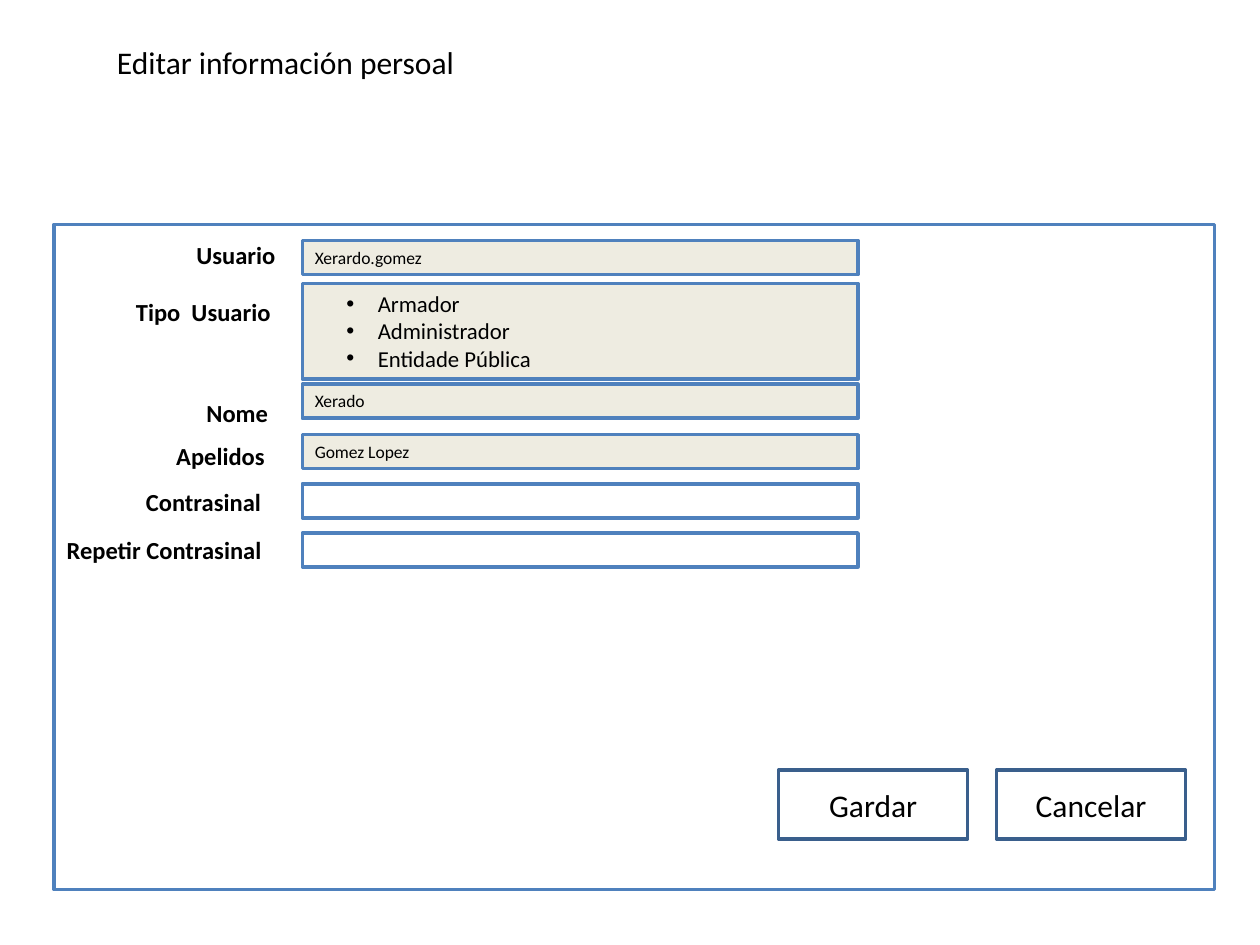
from pptx import Presentation
from pptx.dml.color import RGBColor
from pptx.enum.shapes import MSO_SHAPE
from pptx.enum.text import MSO_ANCHOR, MSO_AUTO_SIZE, PP_ALIGN
from pptx.oxml.ns import qn
from pptx.util import Inches, Pt
from lxml.etree import SubElement

WHITE, BEIGE, BLACK = "FFFFFF", "EEECE1", "000000"
BLUE, DARK_BLUE = "4F81BD", "3A5F8C"
FIELD_LEFT, FIELD_WIDTH, FIELD_HEIGHT = 2.4, 4.41, 0.27
LABEL_HEIGHT = 0.34

# caption, left, top, width
LABELS = [
    ("Usuario", 1.46, 1.86, 2.52),
    ("Tipo  Usuario", 0.98, 2.31, 2.52),
    ("Nome", 1.54, 3.11, 0.87),
    ("Apelidos", 1.3, 3.45, 0.94),
    ("Contrasinal", 1.06, 3.82, 1.26),
]
# value, top
FILLED_FIELDS = [("Xerardo.gomez", 1.91), ("Xerado", 3.05), ("Gomez Lopez", 3.45)]
PASSWORD_TOPS = [3.84, 4.23]
USER_TYPES = ["Armador", "Administrador", "Entidade Pública"]


def color(hex_value):
    return RGBColor.from_string(hex_value)


def write(box, lines, size, bold=None, align=PP_ALIGN.LEFT, anchor=MSO_ANCHOR.TOP, grow=True):
    frame = box.text_frame
    frame.word_wrap = True
    frame.vertical_anchor = anchor
    frame.auto_size = MSO_AUTO_SIZE.SHAPE_TO_FIT_TEXT if grow else MSO_AUTO_SIZE.NONE
    frame.text = "\n".join(lines)
    for paragraph in frame.paragraphs:
        paragraph.alignment = align
        paragraph.font.name = "Calibri"
        paragraph.font.size = Pt(size)
        paragraph.font.bold = bold
        paragraph.font.color.rgb = color(BLACK)


def add_box(slide, left, top, width, height, fill=WHITE, line=BLUE):
    box = slide.shapes.add_shape(
        MSO_SHAPE.RECTANGLE, Inches(left), Inches(top), Inches(width), Inches(height))
    box.shadow.inherit = False
    box.fill.solid()
    box.fill.fore_color.rgb = color(fill)
    box.line.color.rgb = color(line)
    box.line.width = Pt(2)
    return box


def add_text(slide, text, left, top, width, height, size, bold=None):
    caption = slide.shapes.add_textbox(
        Inches(left), Inches(top), Inches(width), Inches(height))
    write(caption, [text], size, bold)


def add_label(slide, text, left, top, width):
    label = add_box(slide, left, top, width, LABEL_HEIGHT, line=WHITE)
    write(label, [text], 14, bold=True)


def add_field(slide, top, height=FIELD_HEIGHT, fill=BEIGE):
    return add_box(slide, FIELD_LEFT, top, FIELD_WIDTH, height, fill)


def add_button(slide, text, left):
    button = add_box(slide, left, 6.11, 1.5, 0.55, line=DARK_BLUE)
    write(button, [text], 18, align=PP_ALIGN.CENTER, anchor=MSO_ANCHOR.MIDDLE, grow=False)


def add_bullets(box):
    for paragraph in box.text_frame.paragraphs:
        paragraph.level = 1
        properties = paragraph._p.get_or_add_pPr()
        properties.set("marL", str(Inches(0.5)))
        properties.set("indent", str(Inches(-0.25)))
        # Bullet elements must come before the default run properties
        font = SubElement(properties, qn("a:buFont"), typeface="Arial")
        bullet = SubElement(properties, qn("a:buChar"), char="•")
        properties.insert(0, font)
        properties.insert(1, bullet)


def main():
    presentation = Presentation()
    presentation.slide_width, presentation.slide_height = Inches(10), Inches(7.5)
    slide = presentation.slides.add_slide(presentation.slide_layouts[6])

    # Title and form panel
    add_text(slide, "Editar información persoal", 0.83, 0.29, 4.65, 0.4, 18)
    add_box(slide, 0.43, 1.78, 9.21, 5.28)

    # Labels, under the fields they overlap
    for label in LABELS:
        add_label(slide, *label)
    add_text(slide, "Repetir Contrasinal", 0.43, 4.2, 1.89, LABEL_HEIGHT, 14, bold=True)

    # Fields
    for value, top in FILLED_FIELDS:
        write(add_field(slide, top), [value], 10)
    for top in PASSWORD_TOPS:
        add_field(slide, top, fill=WHITE)
    user_types = add_field(slide, 2.25, height=0.76)
    write(user_types, USER_TYPES, 13)
    add_bullets(user_types)

    # Buttons
    add_button(slide, "Gardar", 6.18)
    add_button(slide, "Cancelar", 7.91)

    presentation.save("out.pptx")


if __name__ == "__main__":
    main()
